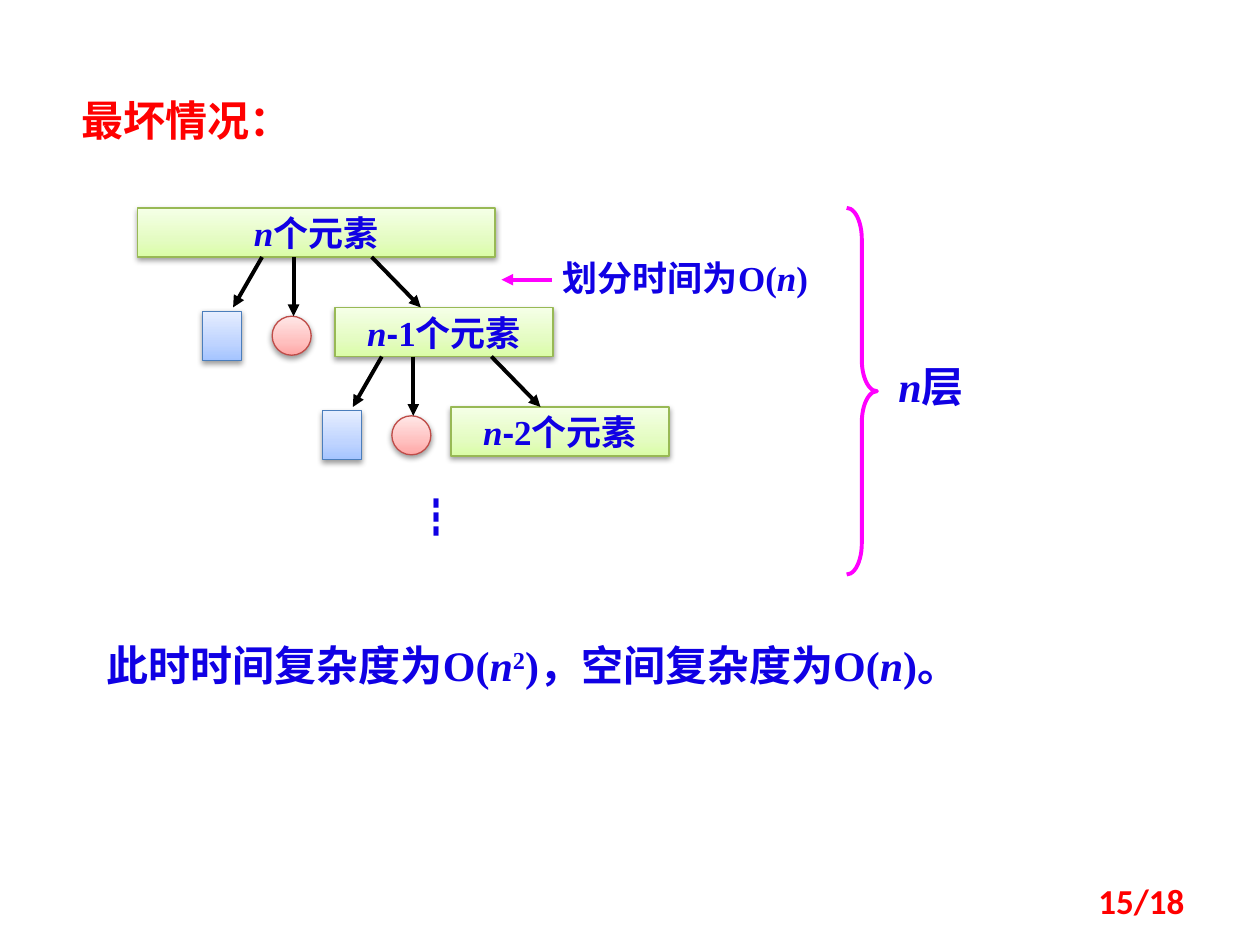
from lxml import etree
from pptx import Presentation
from pptx.dml.color import RGBColor
from pptx.enum.shapes import MSO_CONNECTOR as Connector, MSO_SHAPE as Shape
from pptx.enum.text import MSO_ANCHOR as Anchor, PP_ALIGN as Align
from pptx.oxml import parse_xml
from pptx.oxml.ns import nsdecls, qn
from pptx.util import Inches, Pt

RED = RGBColor(0xFF, 0x00, 0x00)
BLUE = RGBColor(0x10, 0x00, 0xE4)
BLACK = RGBColor(0x00, 0x00, 0x00)
MAGENTA = RGBColor(0xFF, 0x00, 0xFF)
# Line colour, then gradient stops from bottom to top
GREEN_STYLE = (RGBColor(0x98, 0xB9, 0x55), ("DAFDA7", "E4FCC2", "F5FFE7"))
PINK_STYLE = (RGBColor(0xBF, 0x4C, 0x48), ("FFA6A5", "FFC0BF", "FFE7E7"))
SKY_STYLE = (RGBColor(0x4B, 0x7E, 0xBC), ("A4C4FF", "BFD4FF", "E6EEFF"))
SERIF, SANS, CJK = "Times New Roman", "Arial", "Noto Sans CJK SC"

deck = Presentation()
deck.slide_width, deck.slide_height = Inches(10), Inches(7.5)
page = deck.slides.add_slide(deck.slide_layouts[6])


def write(box, words, size, color=BLUE, font=SERIF, align=Align.LEFT):
    """Fill a box with bold runs; a lone n is italic, a lone 2 is raised."""
    para = box.text_frame.paragraphs[0]
    para.alignment = align
    for word in words:
        span = para.add_run()
        span.text = word
        span.font.size, span.font.bold = Pt(size), True
        span.font.italic = word == "n"
        span.font.color.rgb = color
        span.font.name = SANS if word == "-" else font
        properties = span.font._element
        etree.SubElement(properties, qn("a:ea")).set("typeface", CJK)
        if word == "2":
            properties.set("baseline", "30000")


def add_node(kind, left, top, width, height, style):
    """Add a shape with a vertical gradient and a soft shadow."""
    node = page.shapes.add_shape(kind, Inches(left), Inches(top), Inches(width), Inches(height))
    line_color, colors = style
    node.line.color.rgb, node.line.width = line_color, Pt(0.75)
    stops = "".join(
        f'<a:gs pos="{place}"><a:srgbClr val="{color}"/></a:gs>'
        for place, color in zip((0, 35000, 100000), colors)
    )
    gradient = parse_xml(
        f'<a:gradFill {nsdecls("a")} rotWithShape="1"><a:gsLst>{stops}</a:gsLst>'
        '<a:lin ang="16200000" scaled="0"/></a:gradFill>'
    )
    shadow = parse_xml(
        f'<a:effectLst {nsdecls("a")}><a:outerShdw blurRad="40000" dist="20000" dir="5400000"'
        ' rotWithShape="0"><a:srgbClr val="000000"><a:alpha val="38000"/></a:srgbClr>'
        "</a:outerShdw></a:effectLst>"
    )
    outline = node.line._get_or_add_ln()
    outline.addprevious(gradient)
    outline.addnext(shadow)
    return node


# Recursion tree: each level steps right and down
STEP_X, STEP_Y = 0.95, 0.79
levels = [
    (1.09, 2.84, ["n", "个元素"]),
    (2.66, 1.73, ["n", "-", "1个元素"]),
    (3.58, 1.73, ["n", "-", "2个元素"]),
]
arrows = [(4.38, 2.22, 3.98, 2.22, MAGENTA)]
for level, (left, width, words) in enumerate(levels):
    top = 1.65 + level * STEP_Y
    bar = add_node(Shape.RECTANGLE, left, top, width, 0.39, GREEN_STYLE)
    bar.text_frame.word_wrap = False
    bar.text_frame.vertical_anchor = Anchor.MIDDLE
    write(bar, words, 20, align=Align.CENTER)
    if level < 2:
        x = level * STEP_X
        add_node(Shape.RECTANGLE, 1.61 + x, top + 0.82, 0.31, 0.39, SKY_STYLE)
        add_node(Shape.OVAL, 2.16 + x, top + 0.86, 0.31, 0.31, PINK_STYLE)
        for start, end, drop in [(2.08, 1.85, 0.4), (2.33, 2.33, 0.47), (2.95, 3.34, 0.4)]:
            arrows.append((start + x, top + 0.39, end + x, top + 0.39 + drop, BLACK))

# Arrows to the children and to the partition note
for x1, y1, x2, y2, color in arrows:
    arrow = page.shapes.add_connector(
        Connector.STRAIGHT, Inches(x1), Inches(y1), Inches(x2), Inches(y2)
    )
    arrow.line.color.rgb, arrow.line.width = color, Pt(2.25)
    etree.SubElement(arrow.line._get_or_add_ln(), qn("a:tailEnd")).set("type", "triangle")
    etree.SubElement(arrow._element.spPr, qn("a:effectLst"))

# Brace spanning all levels
brace = page.shapes.add_shape(
    Shape.RIGHT_BRACE, Inches(6.72), Inches(1.65), Inches(0.24), Inches(2.91)
)
brace.adjustments[0], brace.adjustments[1] = 1.03, 0.5
brace.shadow.inherit = False
brace.fill.background()
brace.line.color.rgb, brace.line.width = MAGENTA, Pt(2.25)

# Heading, labels, conclusion and page number
conclusion = ["此时时间复杂度为O(", "n", "2", ")，空间复杂度为O(", "n", ")。"]
texts = [
    (0.55, 0.7, 2.14, 0.5, ["最坏情况："], 24, RED, CJK, Align.LEFT),
    (2.72, 3.85, 1.49, 0.5, ["┇"], 24, BLUE, CJK, Align.CENTER),
    (6.8, 2.81, 1.18, 0.5, ["n", "层"], 24, BLUE, SERIF, Align.CENTER),
    (0.75, 5.03, 7.01, 0.5, conclusion, 24, BLUE, SERIF, Align.LEFT),
    (4.14, 1.99, 2.6, 0.43, ["划分时间为O(", "n", ")"], 20, BLUE, SERIF, Align.CENTER),
    (7.17, 6.95, 2.33, 0.4, ["15/18"], 20, RED, "Calibri", Align.RIGHT),
]
for left, top, width, height, words, size, color, font, align in texts:
    box = page.shapes.add_textbox(Inches(left), Inches(top), Inches(width), Inches(height))
    box.text_frame.word_wrap = True
    if font == "Calibri":
        box.text_frame.vertical_anchor = Anchor.MIDDLE
    write(box, words, size, color, font, align)

deck.save("out.pptx")
